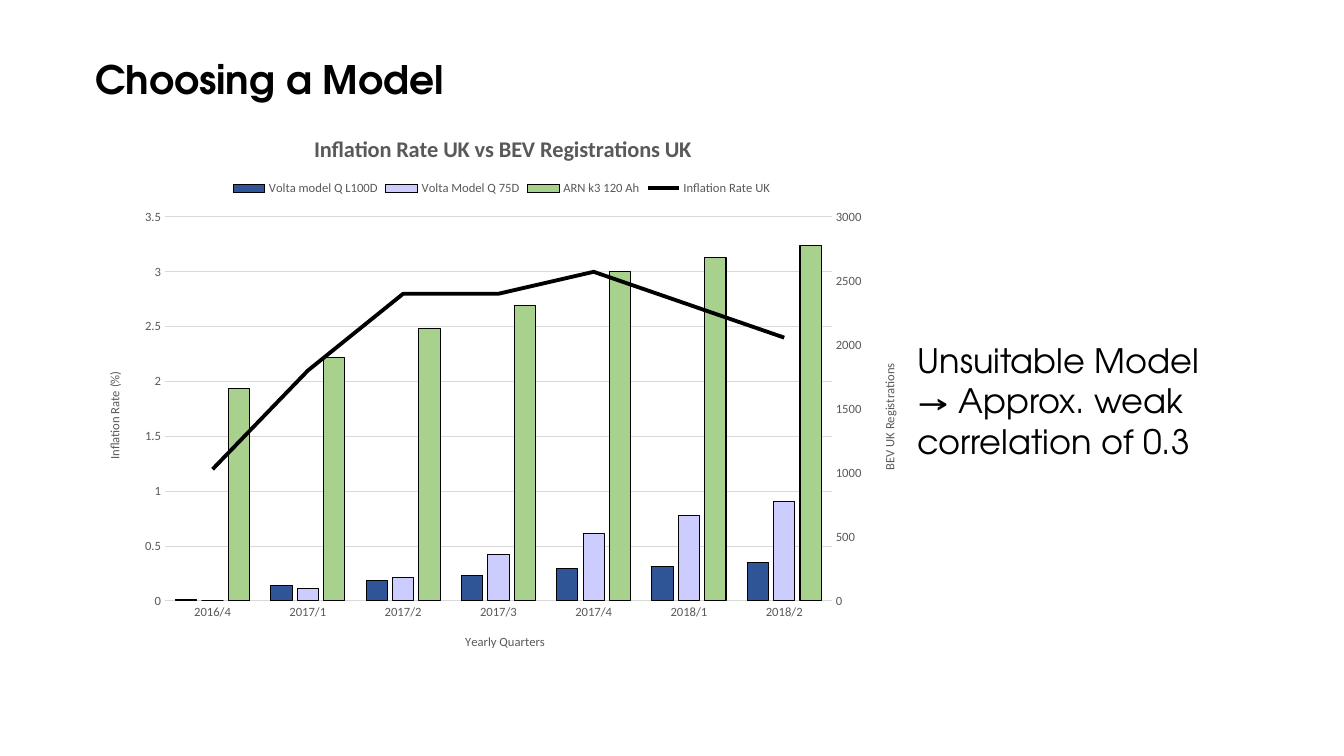
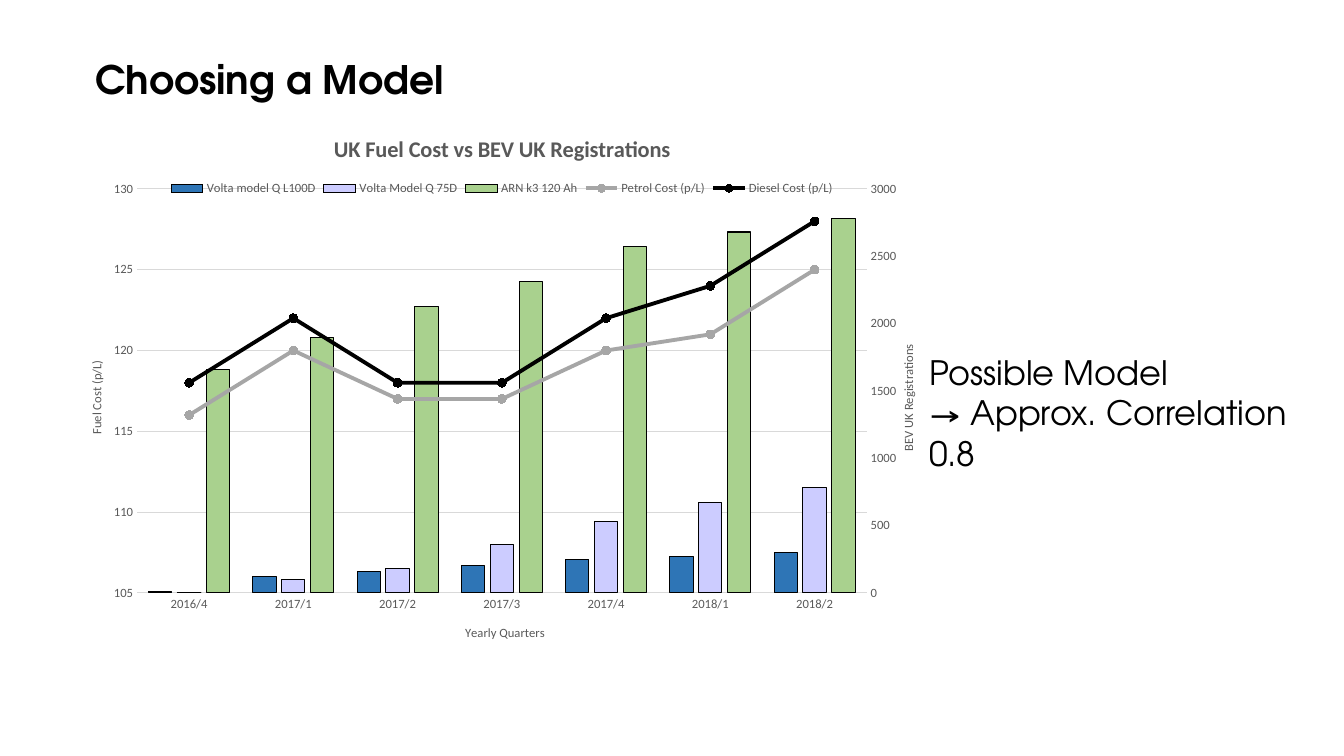
from copy import deepcopy
from lxml import etree
from pptx import Presentation
from pptx import util as u
from pptx.chart.data import CategoryChartData
from pptx.dml.color import RGBColor
from pptx.enum import chart as ch, text as tx
from pptx.oxml import parse_xml
from pptx.oxml.ns import nsdecls, qn

# Shared look
SCALE = 12192000 / 1344
SIZE = (1344, 756)
HEAD = "Choosing a Model"
HEADBOX = (85, 50, 434, 58)
FRAME = (86, 115, 834, 555)
FACE, DATA = "TeX Gyre Adventor", "Calibri"
INK, GREY, GRID = "000000", "595959", "D9D9D9"

# Data common to both charts
QUARTERS = ["2016/4", "2017/1", "2017/2", "2017/3", "2017/4", "2018/1", "2018/2"]
CARS = [
    ("Volta model Q L100D", [10, 120, 160, 200, 250, 270, 300]),
    ("Volta Model Q 75D", [0, 100, 180, 360, 530, 670, 780]),
    ("ARN k3 120 Ah", [1660, 1900, 2130, 2310, 2570, 2680, 2780]),
]
COUNT = ("BEV UK Registrations", 0, 3000, 500)

# Each slide: spots are left and top of titles and legend, plot is a box
SLIDES = [
    dict(
        title="Inflation Rate UK vs BEV Registrations UK",
        fills=["2F5597", "CCCCFF", "A9D18E"],
        lines=[("Inflation Rate UK", [1.2, 2.1, 2.8, 2.8, 3, 2.7, 2.4], INK)],
        mark=False,
        left=("Inflation Rate (%)", 0, 3.5, 0.5),
        plot=(165, 217, 667, 384),
        spots=dict(head=(310, 130), key=(229, 177), left=(104, 369),
                   right=(879, 361), base=(463, 631)),
        body=(907, 335, 420, 132),
        notes=["Unsuitable Model", "→ Approx. weak correlation of 0.3"],
    ),
    dict(
        title="UK Fuel Cost vs BEV UK Registrations",
        fills=["2E75B6", "CCCCFF", "A9D18E"],
        lines=[
            ("Petrol Cost (p/L)", [116, 120, 117, 117, 120, 121, 125], "A6A6A6"),
            ("Diesel Cost (p/L)", [118, 122, 118, 118, 122, 124, 128], INK),
        ],
        mark=True,
        left=("Fuel Cost (p/L)", 105, 130, 5),
        plot=(137, 189, 730, 404),
        spots=dict(head=(330, 130), key=(167, 177), left=(86, 358),
                   right=(898, 342), base=(463, 622)),
        body=(919, 347, 403, 132),
        notes=["Possible Model", "→ Approx. Correlation 0.8"],
    ),
]


def px(n):
    return u.Emu(round(n * SCALE))


def rgb(code):
    return RGBColor.from_string(code)


def style(font, color, **form):
    for key, val in form.items():
        setattr(font, key, val)
    font.color.rgb = rgb(color)


def stroke(line, color, width):
    line.color.rgb = rgb(color)
    line.width = u.Pt(width)


def fill_text(shape, box, lines, size, bold):
    for key, val in zip(("left", "top", "width", "height"), box):
        setattr(shape, key, px(val))
    frame = shape.text_frame
    frame.text = "\n".join(lines)
    for key, val in dict(word_wrap=True, auto_size=tx.MSO_AUTO_SIZE.NONE,
                         vertical_anchor=tx.MSO_ANCHOR.TOP).items():
        setattr(frame, key, val)
    for para in frame.paragraphs:
        props = para._p.get_or_add_pPr()
        props.set("marL", "0")
        props.set("indent", "0")
        etree.SubElement(props, qn("a:buNone"))
        para.alignment = tx.PP_ALIGN.LEFT
        para.space_before = u.Pt(0)
        style(para.font, INK, name=FACE, size=u.Pt(size), bold=bold)


def place(node, index, box, inner=False):
    """Set a manual layout, as shares of the chart frame."""
    for old in node.findall(qn("c:layout")):
        node.remove(old)
    x, y, wide, high = FRAME
    vals = [(box[0] - x) / wide, (box[1] - y) / high]
    vals += [box[2] / wide, box[3] / high] if inner else []
    tags = '<c:layoutTarget val="inner"/>' if inner else ""
    tags += '<c:xMode val="edge"/><c:yMode val="edge"/>'
    tags += "".join(f'<c:{k} val="{v:.4f}"/>' for k, v in zip("xywh", vals))
    node.insert(index, parse_xml(
        f'<c:layout {nsdecls("c")}><c:manualLayout>{tags}</c:manualLayout></c:layout>'))


def caption(owner, words, spot, size, bold):
    owner.text_frame.text = words
    style(owner.text_frame.paragraphs[0].runs[0].font, GREY,
          name=DATA, size=u.Pt(size), bold=bold)
    place(owner.element, 1, spot)


def tune(axis, spec, spot):
    words, low, top, step = spec
    for key, val in dict(minimum_scale=low, maximum_scale=top, major_unit=step).items():
        setattr(axis, key, val)
    axis.format.line.fill.background()
    caption(axis.axis_title, words, spot, 9, False)


def split(chart, count):
    """Give the lines the first axes, and the bars a second pair on the right."""
    area = chart.element.xpath(".//c:plotArea")[0]
    bars = area.find(qn("c:barChart"))
    axes = [area.find(qn(tag)) for tag in ("c:catAx", "c:valAx")]
    ids = [axis.find(qn("c:axId")).get("val") for axis in axes]
    line = parse_xml(f'<c:lineChart {nsdecls("c")}><c:grouping val="standard"/>'
                     '<c:varyColors val="0"/><c:marker val="1"/>'
                     f'<c:axId val="{ids[0]}"/><c:axId val="{ids[1]}"/></c:lineChart>')
    for ser in bars.findall(qn("c:ser"))[count:]:
        for flag in ser.findall(qn("c:invertIfNegative")):
            ser.remove(flag)
        line.find(qn("c:marker")).addprevious(ser)
    bars.addnext(line)

    fresh = ["5001", "5002"]
    twins = [deepcopy(axis) for axis in axes]
    for i, twin in enumerate(twins):
        twin.find(qn("c:axId")).set("val", fresh[i])
        twin.find(qn("c:crossAx")).set("val", fresh[1 - i])
        bars.findall(qn("c:axId"))[i].set("val", fresh[i])
    twins[0].find(qn("c:delete")).set("val", "1")
    twins[1].find(qn("c:crosses")).set("val", "max")
    twins[1].find(qn("c:axPos")).set("val", "r")
    axes[1].addnext(twins[0])
    twins[0].addnext(twins[1])
    return area


def draw(slide, part):
    data = CategoryChartData()
    data.categories = QUARTERS
    for name, vals, *_ in CARS + part["lines"]:
        data.add_series(name, vals)
    chart = slide.shapes.add_chart(
        ch.XL_CHART_TYPE.COLUMN_CLUSTERED, *map(px, FRAME), data).chart
    style(chart.font, GREY, name=DATA, size=u.Pt(9))
    spots = part["spots"]
    chart.has_title = True
    caption(chart.chart_title, part["title"], spots["head"], 16, True)
    chart.has_legend = True
    key = chart.legend
    key.position = ch.XL_LEGEND_POSITION.TOP
    key.include_in_layout = False
    style(key.font, GREY, name=DATA, size=u.Pt(9))
    place(chart.element.xpath(".//c:legend")[0], 1, spots["key"])

    # Settings that both pairs of axes share
    base, left = chart.category_axis, chart.value_axis
    for axis in (base, left):
        axis.major_tick_mark = axis.minor_tick_mark = ch.XL_TICK_MARK.NONE
        axis.has_major_gridlines = False
        style(axis.tick_labels.font, GREY, name=DATA, size=u.Pt(9))
    area = split(chart, len(CARS))

    # Lines on the left axis, bars on the right one
    tune(left, part["left"], spots["left"])
    tune(chart.value_axis, COUNT, spots["right"])
    left.has_major_gridlines = True
    for line in (left.major_gridlines.format.line, base.format.line):
        stroke(line, GRID, 0.75)
    caption(base.axis_title, "Yearly Quarters", spots["base"], 9, False)
    place(area, 0, part["plot"], True)

    # Series colours
    bars, lines = chart.plots
    bars.gap_width, bars.overlap = 100, -24
    bars.vary_by_categories = False
    for ser, color in zip(bars.series, part["fills"]):
        ser.format.fill.solid()
        ser.format.fill.fore_color.rgb = rgb(color)
        stroke(ser.format.line, INK, 0.75)
    for ser, (*_, color) in zip(lines.series, part["lines"]):
        ser.smooth = False
        stroke(ser.format.line, color, 2.75)
        mark = ser.marker
        mark.style = ch.XL_MARKER_STYLE.NONE
        if part["mark"]:
            mark.style, mark.size = ch.XL_MARKER_STYLE.CIRCLE, 6
            mark.format.fill.solid()
            mark.format.fill.fore_color.rgb = rgb(color)
            stroke(mark.format.line, color, 0.75)


def main():
    deck = Presentation()
    deck.slide_width, deck.slide_height = map(px, SIZE)
    for part in SLIDES:
        slide = deck.slides.add_slide(deck.slide_layouts[1])
        title, body = slide.placeholders
        fill_text(title, HEADBOX, [HEAD], 28, True)
        draw(slide, part)
        fill_text(body, part["body"], part["notes"], 24, False)
    deck.save("out.pptx")


if __name__ == "__main__":
    main()
